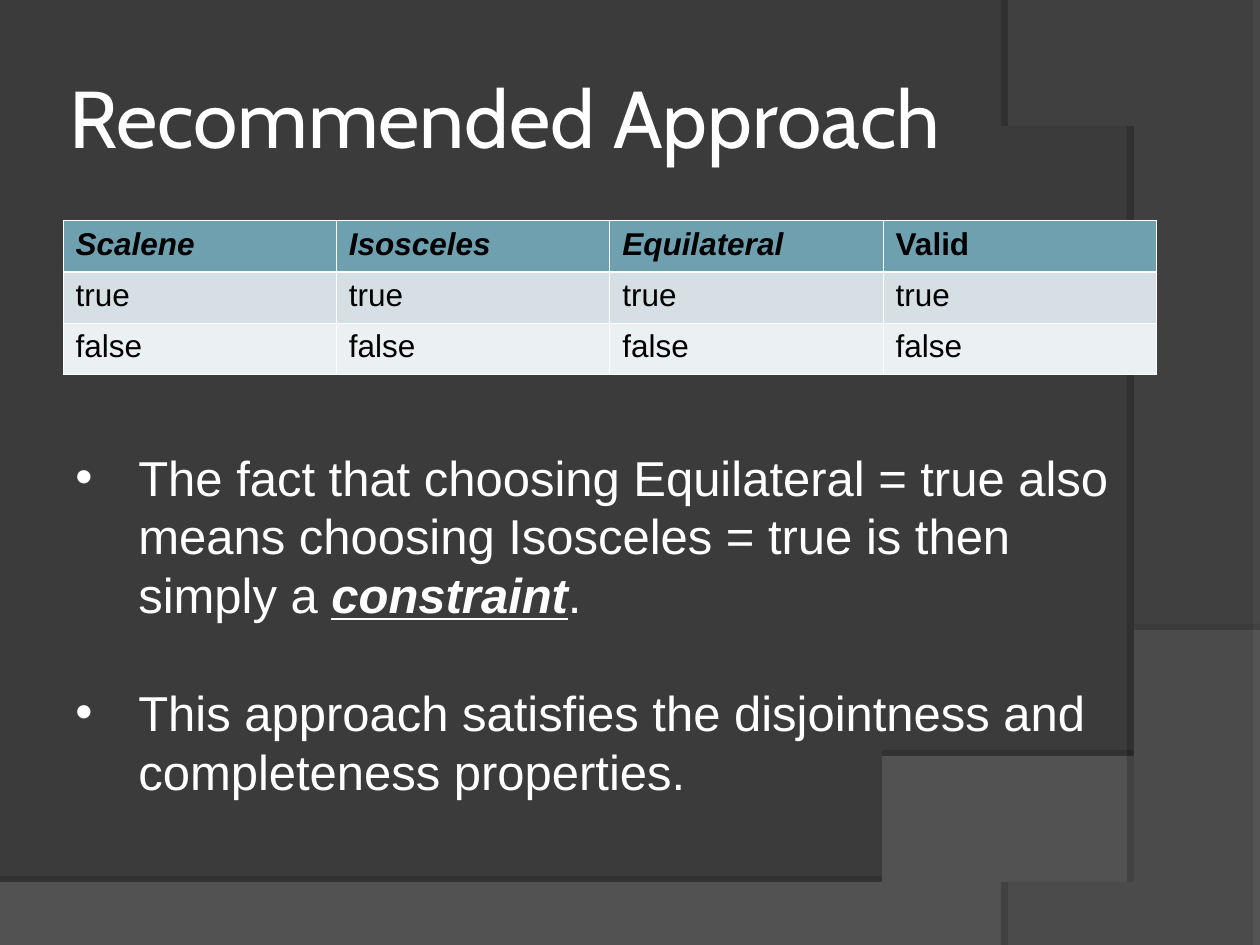
import pptx
import pptx.dml.color
import pptx.enum.text
import pptx.oxml
import pptx.oxml.ns
import pptx.util
from lxml import etree

Inches, Pt = pptx.util.Inches, pptx.util.Pt
RGBColor = pptx.dml.color.RGBColor
qn = pptx.oxml.ns.qn

WHITE = RGBColor(0xFF, 0xFF, 0xFF)
BLACK = RGBColor(0x00, 0x00, 0x00)
BACKGROUND = RGBColor(0x3B, 0x3B, 0x3B)
LOWER_WAVE = RGBColor(0x7C, 0x7C, 0x7C)
RIGHT_WAVE = RGBColor(0x59, 0x59, 0x59)
ROW_FILLS = [RGBColor(0x6E, 0xA0, 0xB0), RGBColor(0xD5, 0xDF, 0xE4), RGBColor(0xEB, 0xF0, 0xF2)]

TITLE = "Recommended Approach"
TABLE = [
    ["Scalene", "Isosceles", "Equilateral", "Valid"],
    ["true", "true", "true", "true"],
    ["false", "false", "false", "false"],
]
BULLETS = [
    [("The fact that choosing Equilateral = true also means choosing "
      "Isosceles = true is then simply a ", False), ("constraint", True), (".", False)],
    [("This approach satisfies the disjointness and completeness properties.", False)],
]
THIN, THICK = 0.45, 1.47


def add_xml(parent, tag, **attributes):
    return etree.SubElement(parent, qn(tag), attributes)


def bezier(start, first, second, end, steps=40):
    """Points along a cubic curve, both ends included."""
    points = []
    for step in range(steps + 1):
        t = step / steps
        weights = ((1 - t) ** 3, 3 * t * (1 - t) ** 2, 3 * t * t * (1 - t), t ** 3)
        points.append(tuple(sum(w * p[axis] for w, p in zip(weights, (start, first, second, end)))
                            for axis in (0, 1)))
    return points


def add_wave(page, points, color, opacity, shadow_opacity, distance, angle):
    builder = page.shapes.build_freeform(*points[0], scale=Inches(1))
    builder.add_line_segments(points[1:], close=True)
    wave = builder.convert_to_shape()
    wave.fill.solid()
    wave.fill.fore_color.rgb = color
    wave.line.fill.background()
    properties = wave.fill._xPr
    add_xml(properties.find(".//" + qn("a:srgbClr")), "a:alpha", val=str(opacity * 1000))
    wave.shadow.inherit = False
    shadow = add_xml(properties.find(qn("a:effectLst")), "a:outerShdw", blurRad="0",
                     dist=str(Pt(distance)), dir=str(angle * 60000), algn="ctr", rotWithShape="0")
    shadow_color = add_xml(shadow, "a:srgbClr", val=str(BLACK))
    add_xml(shadow_color, "a:alpha", val=str(shadow_opacity * 1000))


def add_text_box(page, left, top, width, height, side_inset):
    box = page.shapes.add_textbox(*map(Inches, (left, top, width, height)))
    frame = box.text_frame
    frame.word_wrap = True
    frame.margin_left = frame.margin_right = Inches(side_inset)
    return frame


def set_font(font, name, size, color):
    font.name, font.size = name, Pt(size)
    font.color.rgb = color


def set_borders(cell, top, bottom):
    """Draw white borders; must run before the cell fill is set."""
    properties = cell._tc.get_or_add_tcPr()
    for side, width in (("L", THIN), ("R", THIN), ("T", top), ("B", bottom)):
        line = add_xml(properties, "a:ln" + side, w=str(Pt(width)))
        add_xml(add_xml(line, "a:solidFill"), "a:srgbClr", val=str(WHITE))


def add_truth_table(page):
    table = page.shapes.add_table(len(TABLE), len(TABLE[0]), Inches(0.5), Inches(1.75),
                                  Inches(8.68), Inches(1.22)).table
    for row, values in enumerate(TABLE):
        for column, value in enumerate(values):
            cell = table.cell(row, column)
            set_borders(cell, THICK if row == 1 else THIN, THICK if row == 0 else THIN)
            cell.fill.solid()
            cell.fill.fore_color.rgb = ROW_FILLS[row]
            cell.text = value
            font = cell.text_frame.paragraphs[0].font
            set_font(font, "Arial", 18, BLACK)
            font.bold = row == 0
            font.italic = row == 0 and value != "Valid"


def add_bullets(page):
    frame = add_text_box(page, 0.5, 3.5, 8.68, 3.37, 0.1)
    for index, spans in enumerate(BULLETS):
        paragraph = frame.paragraphs[0] if index == 0 else frame.add_paragraph()
        if index:
            paragraph.space_before = Pt(33.5)
        properties = paragraph._p.get_or_add_pPr()
        properties.set("marL", str(Inches(0.5)))
        properties.set("indent", str(Inches(-0.5)))
        add_xml(add_xml(properties, "a:buClr"), "a:srgbClr", val=str(WHITE))
        add_xml(properties, "a:buFont", typeface="Arial")
        add_xml(properties, "a:buChar", char="•")
        set_font(paragraph.font, "Arial", 28, WHITE)
        for text, emphasized in spans:
            span = paragraph.add_run()
            span.text = text
            if emphasized:
                span.font.bold = span.font.italic = span.font.underline = True


def main():
    deck = pptx.Presentation()
    deck.slide_width, deck.slide_height = Inches(10), Inches(7.5)
    page = deck.slides.add_slide(deck.slide_layouts[6])
    page.background.fill.solid()
    page.background.fill.fore_color.rgb = BACKGROUND

    lower_edge = bezier((10, 5.2), (5.59, 7.29), (3.91, 7.19), (0, 7.05))
    add_wave(page, [(0, 7.51), (10, 7.51)] + lower_edge, LOWER_WAVE, 45, 35, 3.5, 270)
    right_edge = bezier((8.21, 7.5), (9.35, 6.19), (10.18, 3), (8, 0))
    add_wave(page, [(10, 0.02), (10, 7.5)] + right_edge, RIGHT_WAVE, 40, 45, 4, 180)

    title = add_text_box(page, 0.5, 0.3, 8.17, 1.25, 0.05)
    title.vertical_anchor = pptx.enum.text.MSO_ANCHOR.MIDDLE
    title.text = TITLE
    set_font(title.paragraphs[0].font, "Cabin", 46, WHITE)
    add_truth_table(page)
    add_bullets(page)
    deck.save("out.pptx")


if __name__ == "__main__":
    main()
